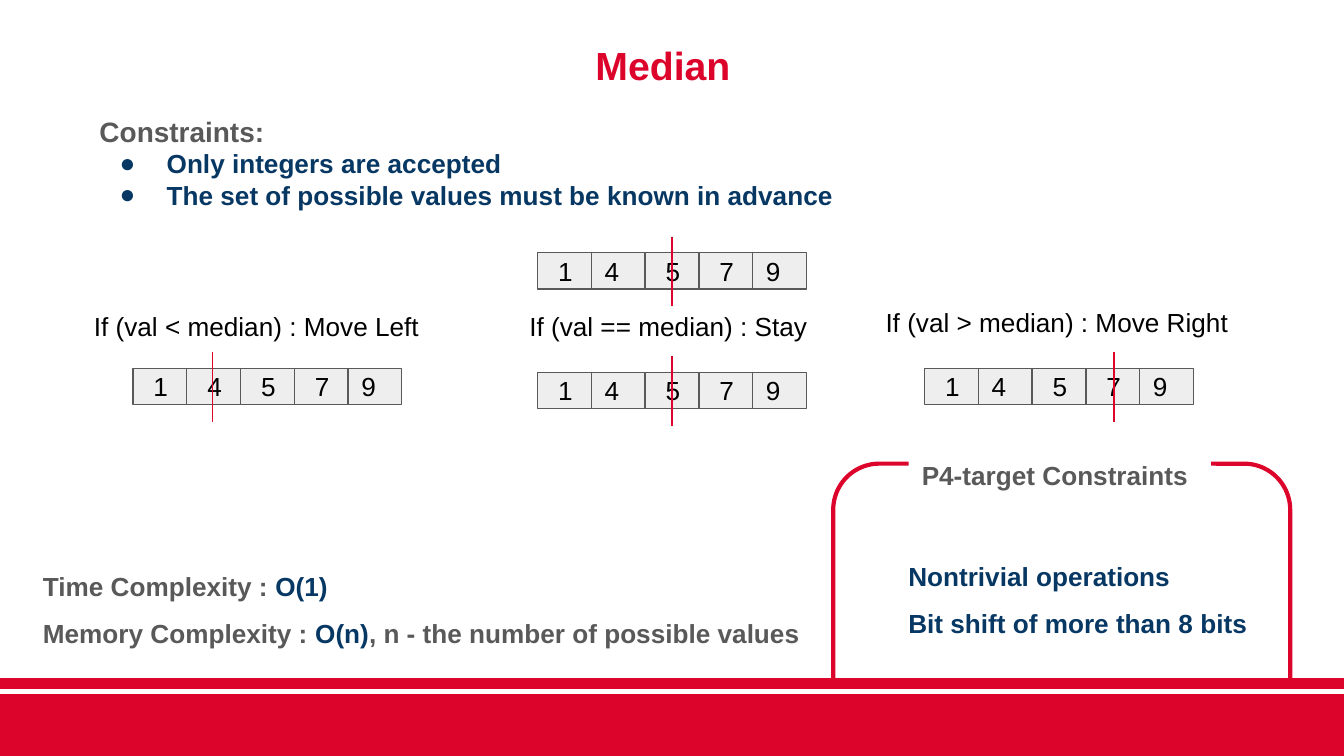
"""Build the slide on median tracking and its constraints."""
import dataclasses

import lxml.etree
import pptx
import pptx.dml.color
import pptx.enum.shapes
import pptx.enum.text
import pptx.oxml.ns
import pptx.util

Inches = pptx.util.Inches
Pt = pptx.util.Pt
RGB = pptx.dml.color.RGBColor.from_string
SHAPE = pptx.enum.shapes.MSO_SHAPE
ANCHOR = pptx.enum.text.MSO_ANCHOR
qn = pptx.oxml.ns.qn


@dataclasses.dataclass(frozen=True)
class Theme:
    font: str = "Arial"
    red: str = "DD042B"
    navy: str = "073763"
    gray: str = "595959"
    cell: str = "EEEEEE"
    black: str = "000000"
    white: str = "FFFFFF"
    title: float = 21
    heading: float = 15
    body: float = 14


theme = Theme()


def write(tf, text, color=theme.black, size=theme.body, bold=False, spacing=1.0,
          bullet=False, same_line=False, anchor=ANCHOR.TOP):
    tf.word_wrap = True
    tf.vertical_anchor = anchor
    tf.margin_left = tf.margin_right = tf.margin_top = tf.margin_bottom = Inches(0.1)
    p = tf.paragraphs[-1]
    if p.runs and not same_line:
        p = tf.add_paragraph()
    if not p.runs:
        pPr = p._p.get_or_add_pPr()
        pPr.set("marL", str(Inches(0.5 if bullet else 0)))
        pPr.set("indent", str(Inches(-0.35 if bullet else 0)))
        if bullet:
            clr = lxml.etree.SubElement(pPr, qn("a:buClr"))
            lxml.etree.SubElement(clr, qn("a:srgbClr"), val=color)
            lxml.etree.SubElement(pPr, qn("a:buChar"), char="●")
        else:
            lxml.etree.SubElement(pPr, qn("a:buNone"))
        p.alignment = pptx.enum.text.PP_ALIGN.LEFT
        p.line_spacing = spacing
        p.space_before = Pt(0)
    r = p.add_run()
    r.text = text
    r.font.name = theme.font
    r.font.size = Pt(size)
    r.font.bold = bold
    r.font.color.rgb = RGB(color)


def add_box(kind, at, fill=None, line=None, width=0.75):
    sp = s.shapes.add_shape(kind, *map(Inches, at))
    sp.shadow.inherit = False
    if fill:
        sp.fill.solid()
        sp.fill.fore_color.rgb = RGB(fill)
    else:
        sp.fill.background()
    if line:
        sp.line.color.rgb = RGB(line)
        sp.line.width = Pt(width)
    else:
        sp.line.fill.background()
    return sp


prs = pptx.Presentation()
prs.slide_width, prs.slide_height = Inches(10), Inches(10) * 9 // 16
s = prs.slides.add_slide(prs.slide_layouts[1])

title, body = s.placeholders
for sp, at in ((title, (4.33, 0.21, 1.35, 0.56)), (body, (0.64, 0.75, 5.96, 0.93))):
    sp.left, sp.top, sp.width, sp.height = map(Inches, at)
    sp.text_frame.auto_size = pptx.enum.text.MSO_AUTO_SIZE.NONE
write(title.text_frame, "Median", color=theme.red, size=theme.title, bold=True)
write(body.text_frame, "Constraints:", color=theme.gray, size=theme.heading, bold=True)
for text in ("Only integers are accepted", "The set of possible values must be known in advance"):
    write(body.text_frame, text, color=theme.navy, bold=True, bullet=True)

panel = add_box(SHAPE.ROUNDED_RECTANGLE, (6.2, 3.45, 3.4, 2.05), line=theme.red, width=2.25)
panel.adjustments[0] = 0.167
heading = add_box(SHAPE.RECTANGLE, (6.76, 3.2, 2.25, 0.44), fill=theme.white)
write(heading.text_frame, "P4-target Constraints", color=theme.gray, bold=True, spacing=1.5)
limits = s.shapes.add_textbox(Inches(6.66), Inches(3.95), Inches(2.84), Inches(0.79))
for text in ("Nontrivial operations", "Bit shift of more than 8 bits"):
    write(limits.text_frame, text, color=theme.navy, bold=True, spacing=1.5)

for at, color in (((6.02, 5.12, 3.96, 0.39), theme.white),
                  ((0, 5.17, 10, 0.45), theme.red),
                  ((0, 5.05, 10, 0.07), theme.red)):
    add_box(SHAPE.RECTANGLE, at, fill=color, line=color)

centered = (" 1", "4", " 5", " 7", "9")
shifted = (" 1", " 4", " 5", " 7", "9")
for left, top, median, values in ((4, 1.88, 5, centered), (0.99, 2.74, 1.58, shifted),
                                  (4, 2.77, 5, centered), (6.88, 2.74, 8.29, centered)):
    for i, value in enumerate(values):
        cell = add_box(SHAPE.RECTANGLE, (left + 0.4 * i, top, 0.4, 0.27),
                       fill=theme.cell, line=theme.gray)
        write(cell.text_frame, value, anchor=ANCHOR.MIDDLE)
    marker = s.shapes.add_connector(
        pptx.enum.shapes.MSO_CONNECTOR.STRAIGHT,
        Inches(median), Inches(top - 0.12), Inches(median), Inches(top + 0.4))
    marker.line.color.rgb = RGB(theme.red)
    marker.line.width = Pt(0.75)
    lxml.etree.SubElement(marker._element.spPr, qn("a:effectLst"))

for left, top, width, text in ((0.6, 2.21, 2.79, "If (val < median) : Move Left"),
                               (3.84, 2.21, 2.31, "If (val == median) : Stay"),
                               (6.49, 2.18, 2.79, "If (val > median) : Move Right")):
    label = s.shapes.add_textbox(Inches(left), Inches(top), Inches(width), Inches(0.44))
    write(label.text_frame, text)

cost = s.shapes.add_textbox(Inches(0.22), Inches(4.03), Inches(5.89), Inches(0.79))
for name, order, note in (("Time Complexity : ", "O(1)", ""),
                          ("Memory Complexity : ", "O(n)", ", n - the number of possible values")):
    write(cost.text_frame, name, color=theme.gray, bold=True, spacing=1.5)
    write(cost.text_frame, order, color=theme.navy, bold=True, same_line=True)
    if note:
        write(cost.text_frame, note, color=theme.gray, bold=True, same_line=True)

prs.save("out.pptx")
